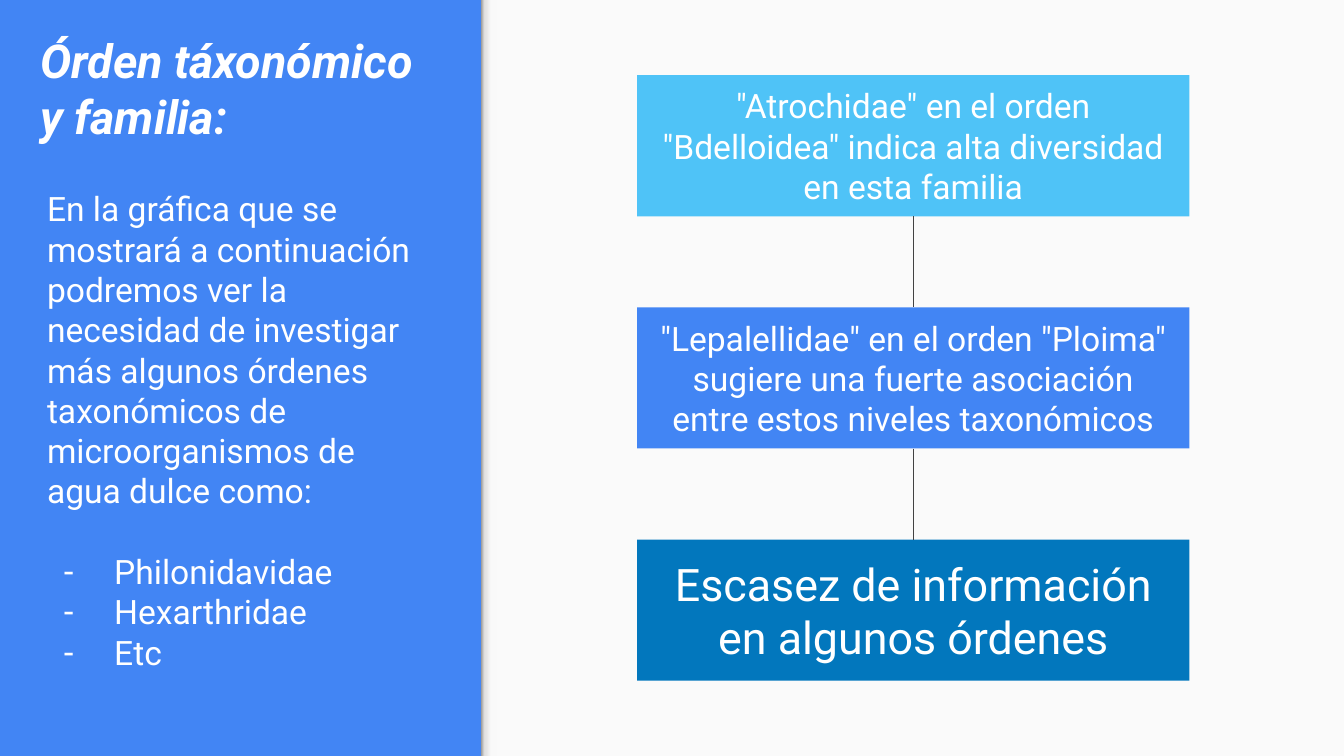
import copy

import pptx
import pptx.dml.color
import pptx.enum.shapes
import pptx.enum.text
import pptx.oxml
import pptx.oxml.ns
import pptx.util

Inches = pptx.util.Inches
Pt = pptx.util.Pt
Align = pptx.enum.text.PP_ALIGN
Anchor = pptx.enum.text.MSO_ANCHOR
RECTANGLE = pptx.enum.shapes.MSO_SHAPE.RECTANGLE

THEME = {
    "font": "Roboto",
    "sidebar": "4285F4",
    "panel": "FAFAFA",
    "text": "FFFFFF",
    "line": "424242",
    "sky": "4FC3F7",
    "ocean": "0277BD",
    "shadow": [(0, "999999"), (0.2, "DEDEDE"), (0.64, "F9F9F9"), (1, "F9F9F9")],
    "title_size": 25,
    "body_size": 18,
    "large_size": 24,
}

TITLE = "Órden táxonómico y familia:"
INTRO = (
    "En la gráfica que se mostrará a continuación podremos ver la necesidad de "
    "investigar más algunos órdenes taxonómicos de microorganismos de agua dulce como:"
)
FAMILIES = ["Philonidavidae", "Hexarthridae", "Etc"]
STEPS = [
    ('"Atrochidae" en el orden "Bdelloidea" indica alta diversidad en esta familia',
     "sky", "body_size"),
    ('"Lepalellidae" en el orden "Ploima" sugiere una fuerte asociación entre estos '
     "niveles taxonómicos", "sidebar", "body_size"),
    ("Escasez de información en algunos órdenes", "ocean", "large_size"),
]

WIDTH = 10
HEIGHT = WIDTH * 9 / 16
SIDEBAR_WIDTH = 3.58
SHADOW_WIDTH = 0.12
STEP_LEFT, STEP_WIDTH, STEP_HEIGHT = 4.74, 4.11, 1.05
STEP_MARGIN = 0.56
STEP_PITCH = (HEIGHT - 2 * STEP_MARGIN - STEP_HEIGHT) / (len(STEPS) - 1)


def color(name):
    return pptx.dml.color.RGBColor.from_string(THEME.get(name, name))


def apply(target, values):
    for name, value in values.items():
        setattr(target, name, value)


def place(shape, left, top, width, height):
    apply(shape, {"left": Inches(left), "top": Inches(top),
                  "width": Inches(width), "height": Inches(height)})


def prepare_frame(shape, anchor, side=0.1):
    apply(shape.text_frame, {
        "word_wrap": True, "auto_size": pptx.enum.text.MSO_AUTO_SIZE.NONE,
        "vertical_anchor": anchor,
        "margin_left": Inches(side), "margin_right": Inches(side),
        "margin_top": Inches(0.1), "margin_bottom": Inches(0.1),
    })
    return shape.text_frame


def write(paragraph, text, size, align=Align.LEFT, before=0, **style):
    apply(paragraph, {"alignment": align, "space_before": Pt(before)})
    run = paragraph.add_run()
    run.text = text
    apply(run.font, {"name": THEME["font"], "size": Pt(THEME[size]), **style})
    run.font.color.rgb = color("text")


def set_bullet(paragraph, character=None):
    properties = paragraph._p.get_or_add_pPr()
    indent = (Inches(0.5), Inches(-0.38)) if character else (0, 0)
    properties.set("marL", str(indent[0]))
    properties.set("indent", str(indent[1]))
    tag = "a:buChar" if character else "a:buNone"
    bullet = pptx.oxml.parse_xml(f"<{tag} {pptx.oxml.ns.nsdecls('a')}/>")
    if character:
        bullet.set("char", character)
    properties.append(bullet)


def add_block(slide, left, top, width, height):
    shape = slide.shapes.add_shape(
        RECTANGLE, Inches(left), Inches(top), Inches(width), Inches(height))
    shape.shadow.inherit = False
    shape.line.fill.background()
    return shape


def fill_solid(shape, name):
    shape.fill.solid()
    shape.fill.fore_color.rgb = color(name)


def add_panel(slide):
    panel = add_block(slide, SIDEBAR_WIDTH, 0, WIDTH - SIDEBAR_WIDTH, HEIGHT)
    fill_solid(panel, "panel")
    edge = add_block(slide, SIDEBAR_WIDTH, 0, SHADOW_WIDTH, HEIGHT)
    edge.fill.gradient()
    edge.fill.gradient_angle = 0
    stops = edge._element.xpath(".//a:gsLst")[0]
    while len(stops) < len(THEME["shadow"]):
        stops.append(copy.deepcopy(stops[0]))
    for stop, (position, shade) in zip(edge.fill.gradient_stops, THEME["shadow"]):
        stop.position = position
        stop.color.rgb = color(shade)


def add_sidebar_text(slide):
    title = slide.shapes.title
    place(title, 0.2, 0.14, 3.19, 1.05)
    frame = prepare_frame(title, Anchor.TOP)
    write(frame.paragraphs[0], TITLE, "title_size", bold=True, italic=True)

    body = slide.placeholders[1]
    place(body, 0.25, 1.3, 3.03, 3.97)
    frame = prepare_frame(body, Anchor.TOP)
    write(frame.paragraphs[0], INTRO, "body_size")
    set_bullet(frame.paragraphs[0])
    for index, family in enumerate(FAMILIES):
        paragraph = frame.add_paragraph()
        write(paragraph, family, "body_size", before=0 if index else 21.5)
        set_bullet(paragraph, "-")


def add_steps(slide):
    boxes = []
    for index, (text, fill, size) in enumerate(STEPS):
        top = STEP_MARGIN + index * STEP_PITCH
        box = add_block(slide, STEP_LEFT, top, STEP_WIDTH, STEP_HEIGHT)
        fill_solid(box, fill)
        frame = prepare_frame(box, Anchor.MIDDLE, side=0.12)
        write(frame.paragraphs[0], text, size, Align.CENTER)
        boxes.append(box)
    for upper, lower in zip(boxes, boxes[1:]):
        link = slide.shapes.add_connector(
            pptx.enum.shapes.MSO_CONNECTOR.STRAIGHT, 0, 0, 0, 0)
        link.begin_connect(upper, 2)
        link.end_connect(lower, 0)
        link.line.width = Pt(0.75)
        link.line.color.rgb = color("line")
        link._element.spPr.append(
            pptx.oxml.parse_xml(f"<a:effectLst {pptx.oxml.ns.nsdecls('a')}/>"))


def main():
    presentation = pptx.Presentation()
    apply(presentation, {"slide_width": Inches(WIDTH), "slide_height": Inches(HEIGHT)})
    slide = presentation.slides.add_slide(presentation.slide_layouts[1])
    fill_solid(slide.background, "sidebar")
    add_panel(slide)
    add_sidebar_text(slide)
    add_steps(slide)
    presentation.save("out.pptx")


if __name__ == "__main__":
    main()
